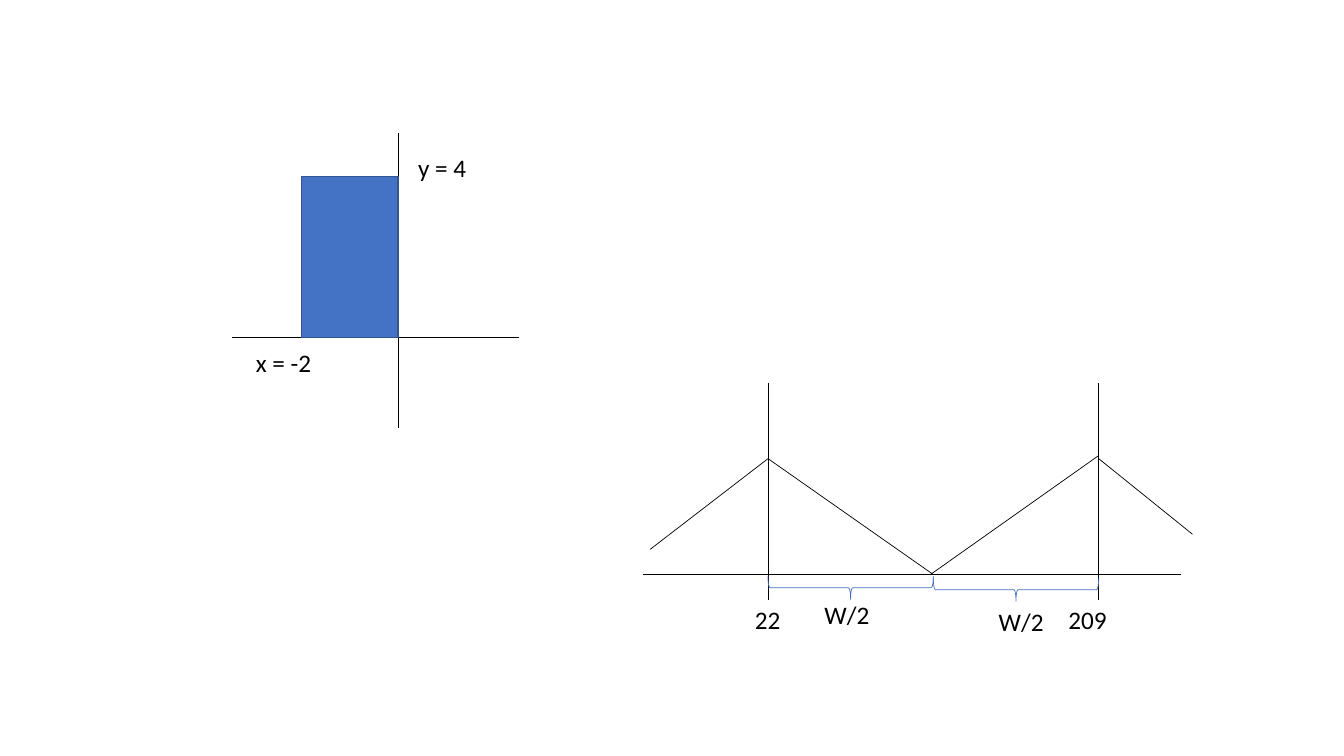
from lxml.etree import SubElement
from pptx import Presentation
from pptx.dml.color import RGBColor
from pptx.enum.shapes import MSO_CONNECTOR, MSO_SHAPE
from pptx.enum.text import MSO_AUTO_SIZE
from pptx.oxml.ns import qn
from pptx.util import Pt

COLORS = {"ink": "000000", "accent": "4472C4", "edge": "325491"}
FONT = {"name": "Calibri", "size": Pt(18)}
FRAME = {"word_wrap": True, "auto_size": MSO_AUTO_SIZE.SHAPE_TO_FIT_TEXT}


def rgb(name):
    return RGBColor.from_string(COLORS[name])


def set_all(obj, values):
    for key, value in values.items():
        setattr(obj, key, value)


def add_line(shapes, x1, y1, x2, y2):
    c = shapes.add_connector(MSO_CONNECTOR.STRAIGHT, Pt(x1), Pt(y1), Pt(x2), Pt(y2))
    c.line.color.rgb = rgb("ink")
    c.line.width = Pt(0.5)
    SubElement(c._element.spPr, qn("a:effectLst"))


def add_label(shapes, text, x, y, w):
    tf = shapes.add_textbox(Pt(x), Pt(y), Pt(w), Pt(28.8)).text_frame
    set_all(tf, FRAME)
    r = tf.paragraphs[0].add_run()
    r.text = text
    set_all(r.font, FONT)
    r.font.color.rgb = rgb("ink")


def add_outlined(shapes, kind, x, y, w, h, color, width):
    sp = shapes.add_shape(kind, Pt(x), Pt(y), Pt(w), Pt(h))
    sp.shadow.inherit = False
    sp.line.color.rgb = rgb(color)
    sp.line.width = Pt(width)
    return sp


def add_brace(shapes, cx, cy, span, depth):
    sp = add_outlined(shapes, MSO_SHAPE.LEFT_BRACE, cx - depth / 2, cy - span / 2,
                      depth, span, "accent", 0.5)
    sp.fill.background()
    sp.rotation = 270


def rectangle_plot(shapes, left, top, width, height):
    axis_x, axis_y = left + 118.8, top + 146.2
    bar_w, bar_h = 69.1, 115.2
    add_line(shapes, axis_x, top, axis_x, top + height)
    add_line(shapes, left + width, axis_y, left, axis_y)
    bar = add_outlined(shapes, MSO_SHAPE.RECTANGLE, axis_x - bar_w, axis_y - bar_h,
                       bar_w, bar_h, "edge", 1)
    bar.fill.solid()
    bar.fill.fore_color.rgb = rgb("accent")
    add_label(shapes, "y = 4 ", axis_x + 7.2, top + 10.1, 63.4)
    add_label(shapes, "x = -2", left + 10.1, axis_y + 3.6, 63.4)


def triangle_wave(shapes, left, top, width, height):
    base, peak = top + 136.8, top + 54
    first, last = left + 89.2, left + 325.4
    half = (last - first) / 2
    middle = first + half

    add_line(shapes, left + width, base, left, base)
    for x in (first, last):
        add_line(shapes, x, top, x, top + height)

    slopes = [(first, peak, middle, base), (last, peak, left + 392.4, top + 108),
              (first, peak, left + 5, top + 118.8), (last, peak - 2.2, middle - 2.1, base)]
    for slope in slopes:
        add_line(shapes, *slope)

    for i, drop in enumerate((9.4, 10.8)):
        add_brace(shapes, first + (i + 0.5) * half, base + drop, half, 16.6)

    labels = [("22", 72.7, 154.8), ("209", 296.6, 154.8),
              ("W/2", 122.4, 151.2), ("W/2", 246.9, 156.2)]
    for text, dx, dy in labels:
        add_label(shapes, text, left + dx, top + dy, 56.9)


prs = Presentation()
set_all(prs, {"slide_width": Pt(960), "slide_height": Pt(540)})
s = prs.slides.add_slide(prs.slide_layouts[6])
rectangle_plot(s.shapes, 165.6, 95, 205.2, 211)
triangle_wave(s.shapes.add_group_shape().shapes, 459.4, 273.6, 384.5, 154.8)
prs.save("out.pptx")
